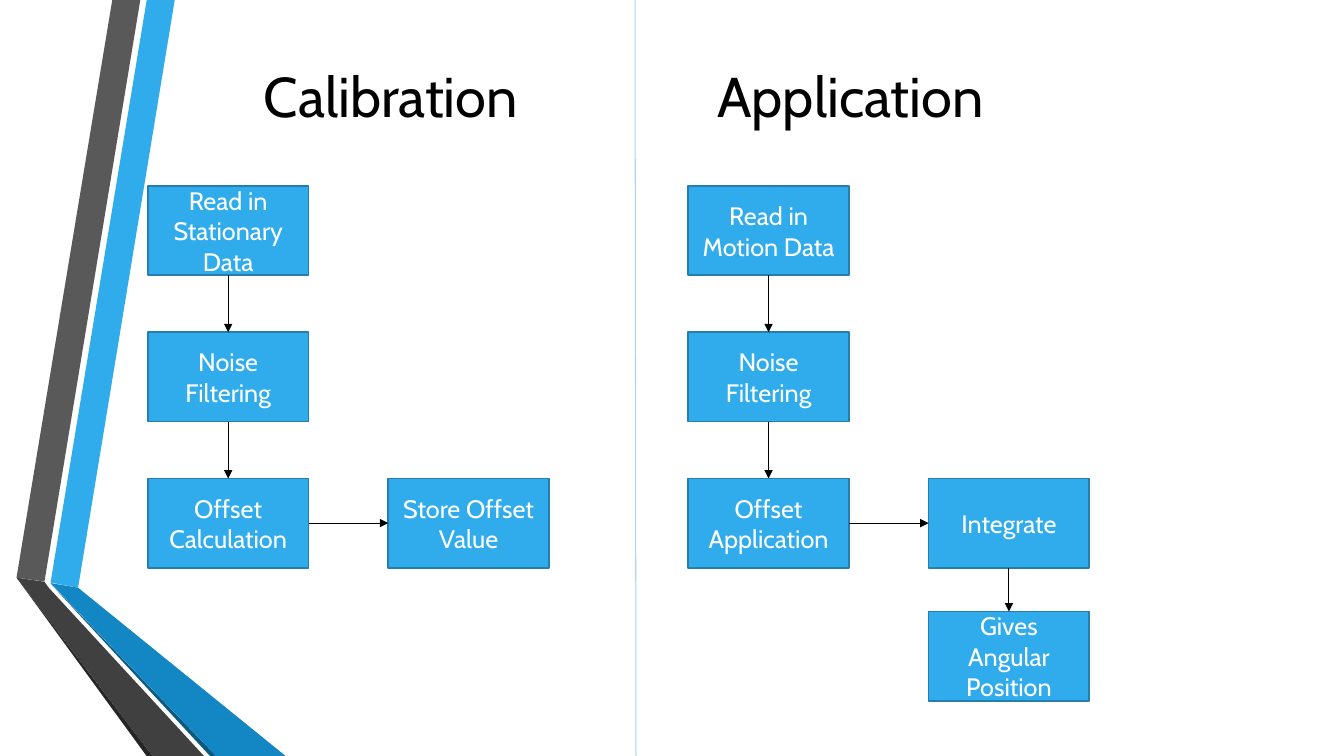
from dataclasses import dataclass

import lxml.etree
import pptx
import pptx.dml.color
import pptx.enum.shapes
import pptx.enum.text
import pptx.oxml.ns
import pptx.util

Pt = pptx.util.Pt
TOP, LEFT, BOTTOM, RIGHT = range(4)


@dataclass(frozen=True)
class Theme:
    """Hold the colours, font, type sizes and line widths."""
    font: str = "Cabin"
    title_size: float = 40
    step_size: float = 18
    text: str = "000000"
    step_text: str = "FFFFFF"
    step_fill: str = "30ACEC"
    step_line: str = "247FAF"
    step_line_width: float = 1.25
    arrow: str = "000000"
    divider: str = "AED2F4"
    thin_line: float = 0.75
    blue_band: str = "30ACEC"
    blue_fold: str = "1287C3"
    blue_edge: str = "0C5A82"
    grey_band: str = "595959"
    grey_fold: str = "404040"
    grey_edge: str = "262626"


THEME = Theme()


def colour(value):
    """Return an RGB colour from its hexadecimal form."""
    return pptx.dml.color.RGBColor.from_string(value)


def write_line(text_frame, text, size, text_colour):
    """Write one centred line of text, anchored in the middle, and return its paragraph."""
    text_frame.word_wrap = True
    text_frame.vertical_anchor = pptx.enum.text.MSO_ANCHOR.MIDDLE
    paragraph = text_frame.paragraphs[0]
    paragraph.alignment = pptx.enum.text.PP_ALIGN.CENTER
    run = paragraph.add_run()
    run.text = text
    run.font.name = THEME.font
    run.font.size = Pt(size)
    run.font.color.rgb = colour(text_colour)
    return paragraph


def add_line(slide, start, end, line_colour):
    """Add a thin straight connector without a shadow."""
    line = slide.shapes.add_connector(
        pptx.enum.shapes.MSO_CONNECTOR.STRAIGHT, *map(Pt, start + end))
    line.line.color.rgb = colour(line_colour)
    line.line.width = Pt(THEME.thin_line)
    lxml.etree.SubElement(line._element.spPr, pptx.oxml.ns.qn("a:effectLst"))
    return line


def add_arrow(slide, source, source_site, target, target_site):
    """Join two steps with an arrow."""
    arrow = add_line(slide, (0, 0), (0, 0), THEME.arrow)
    arrow.begin_connect(source, source_site)
    arrow.end_connect(target, target_site)
    outline = arrow.line._get_or_add_ln()
    lxml.etree.SubElement(outline, pptx.oxml.ns.qn("a:tailEnd"), type="triangle")


def add_ribbons(slide, left, top):
    """Draw the folded grey and blue ribbons from the given corner."""
    ribbons = [
        (THEME.blue_band, [(24.3, 416.2), (44, 419.8), (113, 0), (93, 0)]),
        (THEME.grey_band, [(88.4, 0), (68.4, 0), (0, 412.6), (20, 415.4)]),
        (THEME.grey_edge, [(0, 412.6), (92.9, 540), (97.2, 540)]),
        (THEME.blue_edge, [(24.3, 416.9), (138.2, 540), (142.6, 540)]),
        (THEME.blue_fold, [(24.3, 416.5), (142.6, 540), (192.2, 540), (44, 419.8)]),
        (THEME.grey_fold, [(133.9, 540), (23, 419.8), (20, 415.6), (0, 412.6), (97.2, 540)]),
    ]
    for fill, outline in ribbons:
        points = [(Pt(left + x), Pt(top + y)) for x, y in outline]
        builder = slide.shapes.build_freeform(*points[0])
        builder.add_line_segments(points[1:])
        ribbon = builder.convert_to_shape()
        ribbon.shadow.inherit = False
        ribbon.fill.solid()
        ribbon.fill.fore_color.rgb = colour(fill)
        ribbon.line.fill.background()


def add_title(slide, left, top, width, height):
    """Place the title, with its two headings set apart by a tab stop."""
    title = slide.shapes.title
    title.left, title.top, title.width, title.height = map(Pt, (left, top, width, height))
    paragraph = write_line(
        title.text_frame, "Calibration\tApplication", THEME.title_size, THEME.text)
    properties = paragraph._p.get_or_add_pPr()
    tab_list = lxml.etree.SubElement(properties, pptx.oxml.ns.qn("a:tabLst"))
    lxml.etree.SubElement(
        tab_list, pptx.oxml.ns.qn("a:tab"), pos=str(Pt(324)), algn="l")


def add_step(slide, label, left, top):
    """Add one step of a flow."""
    step = slide.shapes.add_shape(
        pptx.enum.shapes.MSO_SHAPE.RECTANGLE, *map(Pt, (left, top, 114.8, 63.7)))
    step.shadow.inherit = False
    step.fill.solid()
    step.fill.fore_color.rgb = colour(THEME.step_fill)
    step.line.color.rgb = colour(THEME.step_line)
    step.line.width = Pt(THEME.step_line_width)
    write_line(step.text_frame, label, THEME.step_size, THEME.step_text)
    return step


def add_flow(slide, left, top, main_labels, side_labels):
    """Draw a column of steps and a side column that starts beside its last step."""
    row_pitch, side_pitch, column_pitch = 104.4, 95, 171.7
    side_top = top + row_pitch * (len(main_labels) - 1)
    main_steps = [add_step(slide, label, left, top + row_pitch * row)
                  for row, label in enumerate(main_labels)]
    side_steps = [add_step(slide, label, left + column_pitch, side_top + side_pitch * row)
                  for row, label in enumerate(side_labels)]
    for steps in (main_steps, side_steps):
        for source, target in zip(steps, steps[1:]):
            add_arrow(slide, source, BOTTOM, target, TOP)
    add_arrow(slide, main_steps[-1], RIGHT, side_steps[0], LEFT)


def build():
    """Build the slide and save the presentation."""
    presentation = pptx.Presentation()
    presentation.slide_width, presentation.slide_height = Pt(960), Pt(540)
    slide = presentation.slides.add_slide(presentation.slide_layouts.get_by_name("Title Only"))
    add_ribbons(slide, 11.8, 0)
    add_title(slide, 51, -1.4, 789, 138.2)
    add_line(slide, (453.6, 0), (454.3, 540), THEME.divider)
    add_flow(slide, 105.6, 133,
             ["Read in Stationary Data", "Noise Filtering", "Offset Calculation"],
             ["Store Offset Value"])
    add_flow(slide, 491.6, 133,
             ["Read in Motion Data", "Noise Filtering", "Offset Application"],
             ["Integrate", "Gives Angular Position"])
    presentation.save("out.pptx")


build()
